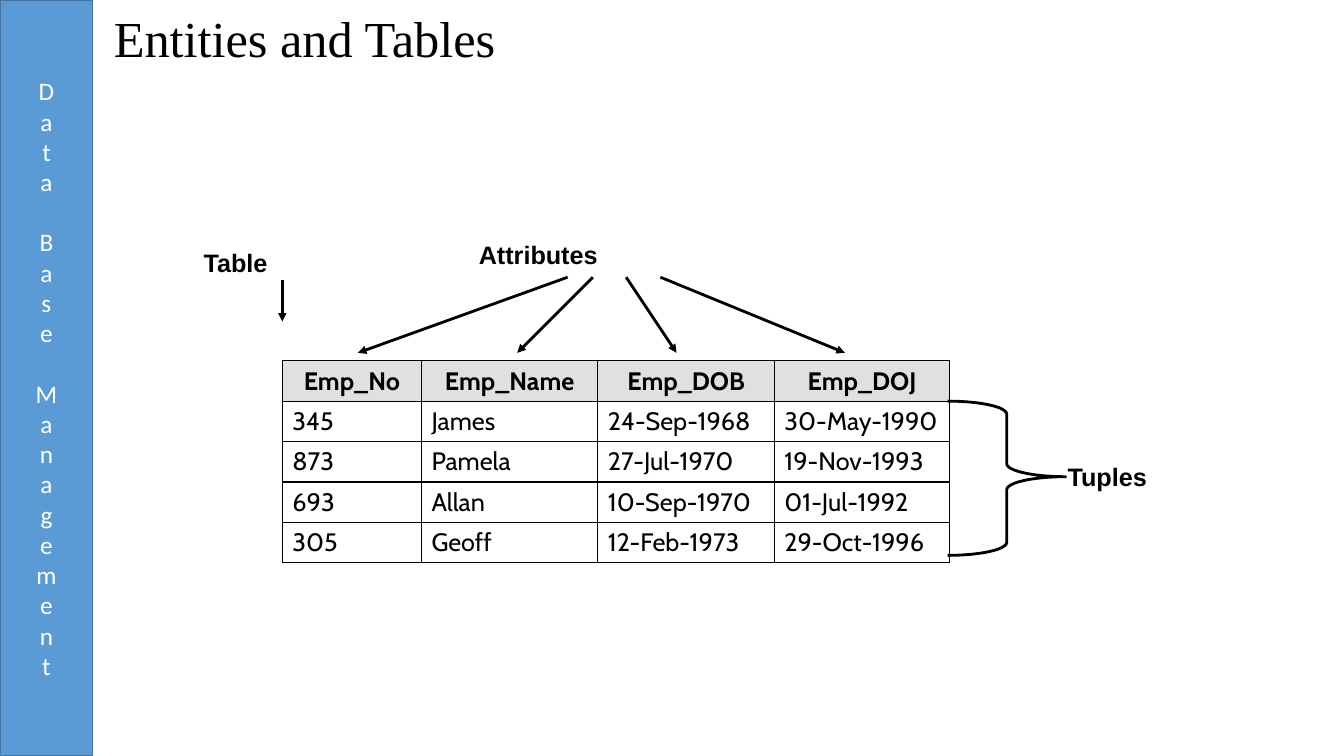
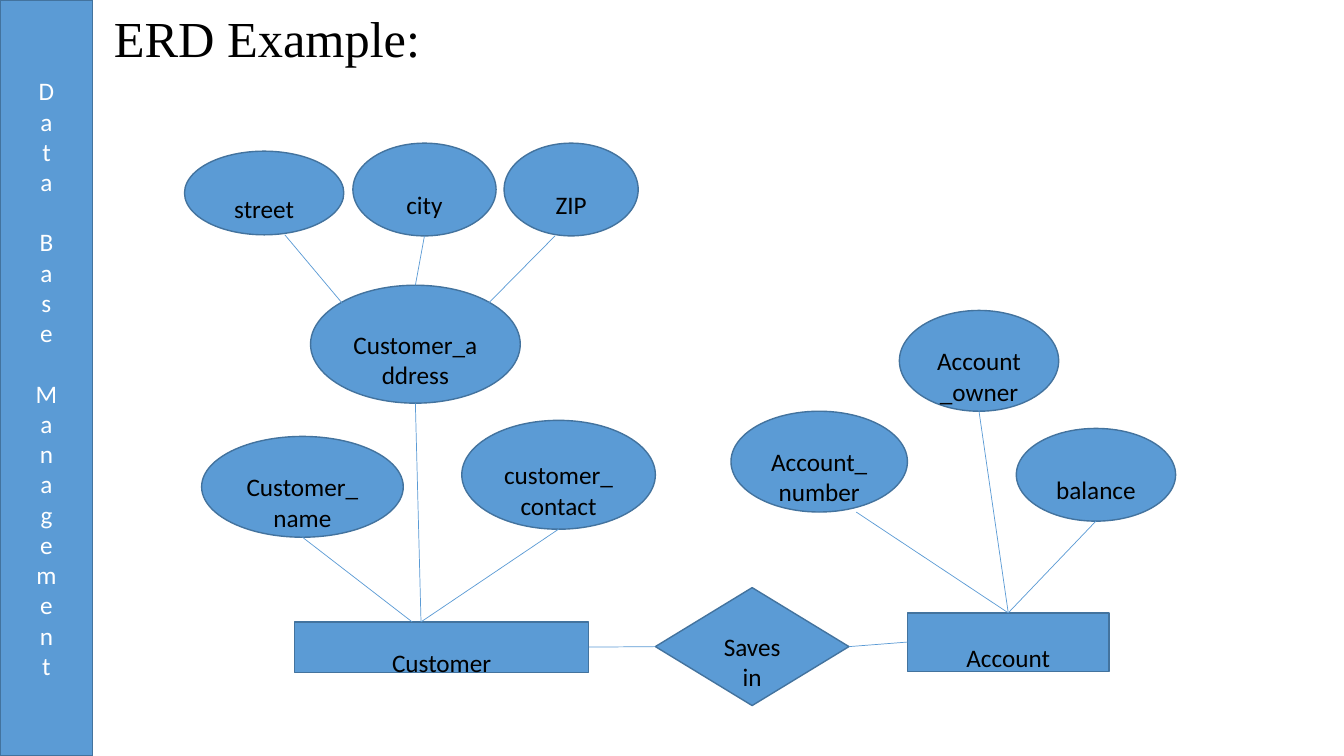
from lxml import etree
from pptx import Presentation
from pptx.dml.color import RGBColor
from pptx.enum.shapes import MSO_CONNECTOR, MSO_SHAPE
from pptx.enum.text import MSO_ANCHOR, PP_ALIGN
from pptx.oxml.ns import qn
from pptx.util import Inches, Pt

RECT = MSO_SHAPE.RECTANGLE
OVAL = MSO_SHAPE.OVAL
CHOICE = MSO_SHAPE.FLOWCHART_DECISION
BRACE = MSO_SHAPE.RIGHT_BRACE
LINE = MSO_CONNECTOR.STRAIGHT
MIDDLE = MSO_ANCHOR.MIDDLE
TOP = MSO_ANCHOR.TOP
LEFT = PP_ALIGN.LEFT
CENTER = PP_ALIGN.CENTER
JUSTIFY = PP_ALIGN.JUSTIFY

BLACK = RGBColor(0, 0, 0)
WHITE = RGBColor(255, 255, 255)
BLUE = RGBColor(0x5B, 0x9B, 0xD5)
EDGE = RGBColor(0x43, 0x73, 0x9E)
GREY = RGBColor(0xE0, 0xE0, 0xE0)

TITLE = {"name": "Times New Roman", "size": Pt(36), "bold": False}
BODY = {"name": "Calibri", "size": Pt(18), "bold": False}
LABEL = {"name": "Arial", "size": Pt(18), "bold": True}
HEAD = {"name": "Cabin", "size": Pt(18), "bold": True}
CELL = {**HEAD, "bold": False}

COLS = [1.38, 1.75, 1.75, 1.74]
ROWS = [
    ["Emp_No", "Emp_Name", "Emp_DOB", "Emp_DOJ"],
    ["345", "James", "24-Sep-1968", "30-May-1990"],
    ["873", "Pamela", "27-Jul-1970", "19-Nov-1993"],
    ["693", "Allan", "10-Sep-1970", "01-Jul-1992"],
    ["305", "Geoff", "12-Feb-1973", "29-Oct-1996"],
]
LABELS = [
    ("Attributes", 1.85, -1.25, 2.92),
    ("Table", -0.88, -1.18, 1.75),
    ("Tuples", 7.69, 0.95, 1.17),
]
ARROWS = [
    ((2.83, -0.83), (0.75, -0.08)),
    ((3.08, -0.83), (2.33, -0.08)),
    ((3.41, -0.83), (3.91, -0.08)),
    ((3.75, -0.83), (5.58, -0.08)),
    ((0, -0.8), (0, -0.39)),
]

NODES = {
    "street": (OVAL, 0.83, 0.5, 1.58, 0.83),
    "city": (OVAL, 2.5, 0.42, 1.42, 0.92),
    "ZIP": (OVAL, 4, 0.42, 1.33, 0.92),
    "Customer_address": (OVAL, 2.08, 1.83, 2.08, 1.17),
    "Customer_name": (OVAL, 1, 3.33, 2, 1),
    "customer_contact": (OVAL, 3.58, 3.17, 1.92, 1.08),
    "Customer": (RECT, 1.92, 5.17, 2.92, 0.5),
    "Saves in": (CHOICE, 5.5, 4.83, 1.92, 1.17),
    "Account": (RECT, 8, 5.08, 2, 0.58),
    "Account_number": (OVAL, 6.25, 3.08, 1.75, 1),
    "Account_owner": (OVAL, 7.92, 2.08, 1.58, 1),
    "balance": (OVAL, 9.08, 3.25, 1.58, 0.92),
}
LINKS = [
    ("street", 0.63, 1, "Customer_address", 0.15, 0.15),
    ("city", 0.5, 1, "Customer_address", 0.5, 0),
    ("ZIP", 0.38, 1, "Customer_address", 0.85, 0.15),
    ("Customer_address", 0.5, 1, "Customer", 0.43, 0),
    ("Customer_name", 0.5, 1, "Customer", 0.4, 0),
    ("customer_contact", 0.5, 1, "Customer", 0.43, 0),
    ("Customer", 1, 0.5, "Saves in", 0, 0.5),
    ("Saves in", 1, 0.5, "Account", 0, 0.5),
    ("Account_number", 0.71, 1, "Account", 0.5, 0),
    ("Account_owner", 0.5, 1, "Account", 0.5, 0),
    ("balance", 0.5, 1, "Account", 0.5, 0),
]


def write(frame, text, form, color=BLACK, align=LEFT):
    para = frame.paragraphs[0]
    para.alignment = align
    run = para.add_run()
    run.text = text
    for key, value in form.items():
        setattr(run.font, key, value)
    run.font.color.rgb = color
    return para


def add_text(slide, box, text, form, anchor=TOP):
    frame = slide.shapes.add_textbox(*map(Inches, box)).text_frame
    frame.word_wrap = True
    frame.vertical_anchor = anchor
    return write(frame, text, form)


def add_form(slide, kind, box, fill=BLUE, edge=EDGE, width=1):
    shape = slide.shapes.add_shape(kind, *map(Inches, box))
    shape.shadow.inherit = False
    if fill is None:
        shape.fill.background()
    else:
        shape.fill.solid()
        shape.fill.fore_color.rgb = fill
    shape.line.color.rgb = edge
    shape.line.width = Pt(width)
    shape.text_frame.word_wrap = True
    shape.text_frame.vertical_anchor = MIDDLE
    return shape


def add_line(slide, start, end, color, width, arrow=False):
    line = slide.shapes.add_connector(LINE, *map(Inches, (*start, *end)))
    line.line.color.rgb = color
    line.line.width = Pt(width)
    if arrow:
        etree.SubElement(line.line._get_or_add_ln(), qn("a:tailEnd"), type="triangle")
    etree.SubElement(line._element.spPr, qn("a:effectLst"))


def add_base(deck, title):
    slide = deck.slides.add_slide(deck.slide_layouts[6])
    frame = add_form(slide, RECT, (0, 0, 0.92, 7.5)).text_frame
    frame._txBody.bodyPr.set("vert", "wordArtVert")
    write(frame, "Data Base Management", BODY, WHITE, CENTER)
    para = add_text(slide, (1.03, 0.12, 12.11, 0.58), title, TITLE, MIDDLE)
    para.line_spacing = 0.9
    return slide


def add_edges(cell):
    props = cell._tc.get_or_add_tcPr()
    for spot, side in enumerate(("lnL", "lnR", "lnT", "lnB")):
        edge = etree.Element(qn("a:" + side), w=str(Pt(1)))
        fill = etree.SubElement(edge, qn("a:solidFill"))
        etree.SubElement(fill, qn("a:srgbClr"), val=str(BLACK))
        props.insert(spot, edge)


def add_grid(slide, box):
    table = slide.shapes.add_table(len(ROWS), len(COLS), *map(Inches, box)).table
    table.horz_banding = False
    for col, width in zip(table.columns, COLS):
        col.width = Inches(width)
    for r, row in enumerate(ROWS):
        for c, text in enumerate(row):
            cell = table.cell(r, c)
            if r == 0:
                cell.fill.solid()
                cell.fill.fore_color.rgb = GREY
                write(cell.text_frame, text, HEAD, align=CENTER)
            else:
                cell.fill.background()
                write(cell.text_frame, text, CELL, align=JUSTIFY)
            add_edges(cell)


def add_staff(slide, box):
    x, y = box[:2]
    add_grid(slide, box)
    for text, dx, dy, width in LABELS:
        add_text(slide, (x + dx, y + dy, width, 0.4), text, LABEL)
    for (ax, ay), (bx, by) in ARROWS:
        add_line(slide, (x + ax, y + ay), (x + bx, y + by), BLACK, 2, True)
    brace = add_form(slide, BRACE, (x + 6.6, y + 0.4, 1.17, 1.53), None, BLACK, 2)
    brace.adjustments[0] = 0.11
    brace.adjustments[1] = 0.49


def add_chart(slide, x, y):
    def spot(name, fx, fy):
        _, dx, dy, w, h = NODES[name]
        return x + dx + fx * w, y + dy + fy * h

    for name, (kind, dx, dy, w, h) in NODES.items():
        frame = add_form(slide, kind, (x + dx, y + dy, w, h)).text_frame
        frame.margin_top = Inches(0.35)
        write(frame, name, BODY, align=CENTER)
    for link in LINKS:
        add_line(slide, spot(*link[:3]), spot(*link[3:]), BLUE, 0.5)


def main():
    deck = Presentation()
    deck.slide_width = Inches(13.33)
    deck.slide_height = Inches(7.5)
    add_staff(add_base(deck, "Entities and Tables"), (2.8, 3.58, 6.62, 2))
    add_chart(add_base(deck, "ERD Example:"), 1, 1)
    deck.save("out.pptx")


if __name__ == "__main__":
    main()
